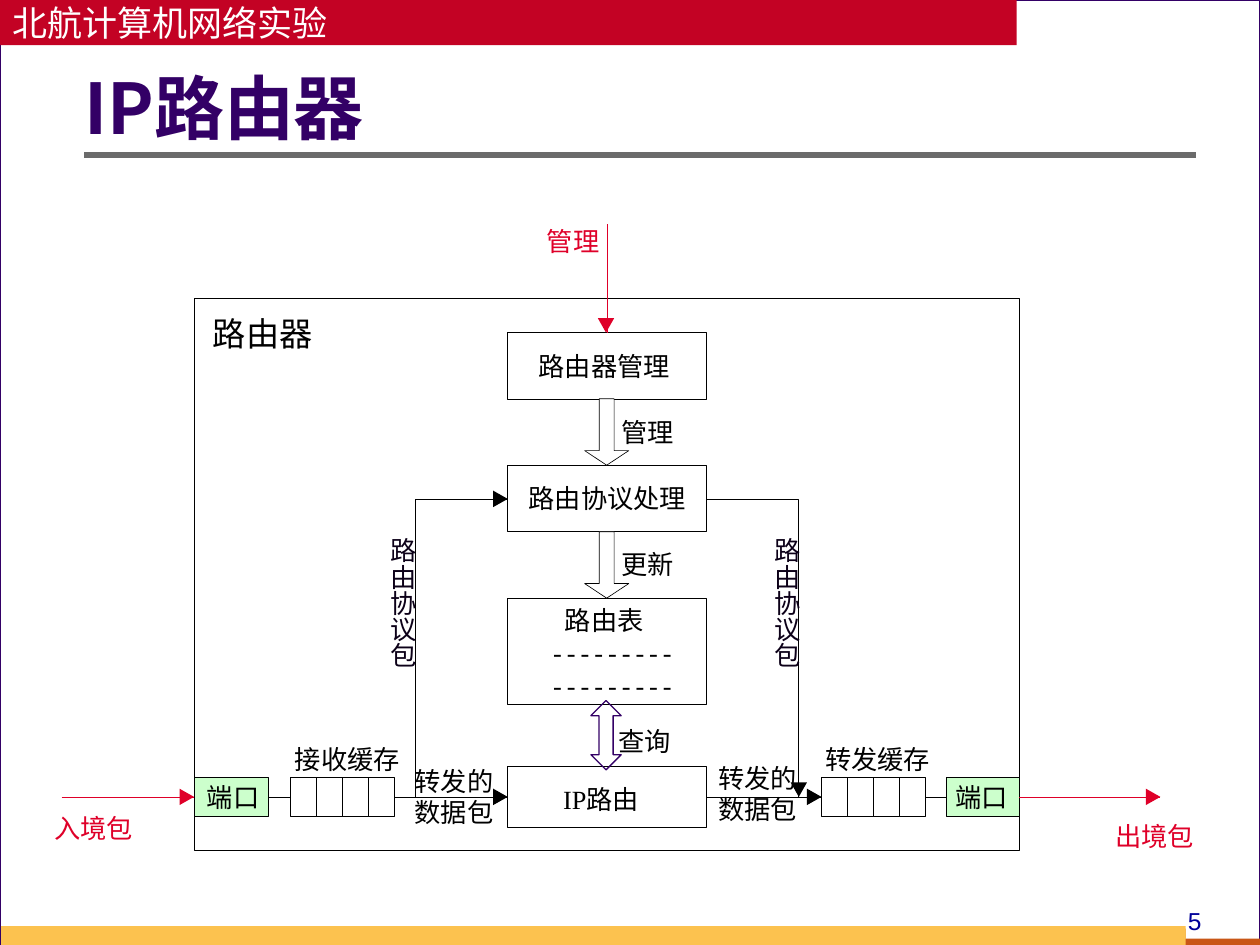
from lxml import etree
from pptx import Presentation
from pptx import util as u
from pptx.dml.color import RGBColor
from pptx.enum import shapes, text
from pptx.oxml import ns

COLUMNS, ROWS = 100, 75
CELL = u.Inches(0.1)
CJK, TIMES, ARIAL = "Noto Sans CJK SC", "Times New Roman", "Arial"

BLACK = RGBColor(0x00, 0x00, 0x00)
WHITE = RGBColor(0xFF, 0xFF, 0xFF)
GREY = RGBColor(0x6B, 0x6B, 0x6B)
BACKDROP = RGBColor(0xD8, 0xDA, 0xDA)
PURPLE = RGBColor(0x33, 0x00, 0x66)
DARK_PURPLE = RGBColor(0x0C, 0x00, 0x18)
NAVY = RGBColor(0x00, 0x00, 0x99)
CRIMSON = RGBColor(0xC3, 0x02, 0x24)
RED = RGBColor(0xDF, 0x00, 0x29)
GREEN = RGBColor(0xCC, 0xFF, 0xCC)
ORANGE = RGBColor(0xE8, 0x80, 0x00)
RUST = RGBColor(0xC9, 0x56, 0x16)
YELLOW = RGBColor(0xFC, 0xC2, 0x4F)

HAIRLINE = 0.38
PACKET_ROW = 63.25
PROTOCOL_ROW = 39.6


def grid(*values):
    return [round(value * CELL) for value in values]


def paint(shape, fill, line, width=HAIRLINE):
    shape.shadow.inherit = False
    if fill is None:
        shape.fill.background()
    else:
        shape.fill.solid()
        shape.fill.fore_color.rgb = fill
    if line is None:
        shape.line.fill.background()
    else:
        shape.line.color.rgb = line
        shape.line.width = u.Pt(width)


def write(shape, lines, size=15, font=CJK, color=BLACK, bold=False, wrap=False,
          insets=(0, 0, 0, 0), anchor=text.MSO_ANCHOR.TOP,
          align=text.PP_ALIGN.LEFT, spacing=None):
    frame = shape.text_frame
    frame.word_wrap = wrap
    frame.vertical_anchor = anchor
    (frame.margin_left, frame.margin_top,
     frame.margin_right, frame.margin_bottom) = grid(*insets)
    for index, line in enumerate(lines):
        paragraph = frame.add_paragraph() if index else frame.paragraphs[0]
        paragraph.alignment = align
        if spacing:
            paragraph.line_spacing = spacing
        run = paragraph.add_run()
        run.text = line
        run.font.size = u.Pt(size)
        run.font.bold = bold
        run.font.color.rgb = color
        run.font.name = font
        east_asian = etree.SubElement(run.font._element, ns.qn("a:ea"))
        east_asian.set("typeface", CJK)


def add_label(slide, box, *lines, **style):
    shape = slide.shapes.add_textbox(*grid(*box))
    write(shape, lines, **style)
    return shape


def add_block(slide, box, fill=WHITE, line=BLACK, width=HAIRLINE,
              kind=shapes.MSO_SHAPE.RECTANGLE, adjustments=()):
    shape = slide.shapes.add_shape(kind, *grid(*box))
    for index, value in enumerate(adjustments):
        shape.adjustments[index] = value
    paint(shape, fill, line, width)
    return shape


def add_named_block(slide, box, name, fill=WHITE, font=CJK,
                    anchor=text.MSO_ANCHOR.MIDDLE, insets=(0, 0, 0.5, 0)):
    shape = add_block(slide, box, fill)
    write(shape, [name], font=font, anchor=anchor, insets=insets,
          align=text.PP_ALIGN.CENTER)
    return shape


def add_line(slide, start, end, color=BLACK, width=HAIRLINE, source=None, target=None):
    line = slide.shapes.add_connector(shapes.MSO_CONNECTOR.STRAIGHT, *grid(*start, *end))
    line.line.color.rgb = color
    line.line.width = u.Pt(width)
    etree.SubElement(line._element.spPr, ns.qn("a:effectLst"))
    if source:
        line.begin_connect(*source)
    if target:
        line.end_connect(*target)


def add_outline(slide, points, fill=None, line=None, close=False):
    start, *others = [grid(*point) for point in points]
    builder = slide.shapes.build_freeform(*start, scale=1.0)
    builder.add_line_segments(others, close=close)
    paint(builder.convert_to_shape(), fill, line)


def add_head(slide, x, y, color=BLACK, down=False):
    length, half = 1.15, 0.65
    if down:
        back = [(x - half, y - length), (x + half, y - length)]
    else:
        back = [(x - length, y - half), (x - length, y + half)]
    add_outline(slide, [(x, y), *back], fill=color, close=True)


def add_queue(slide, left):
    step = 2.06
    return [add_block(slide, (left + step * index, 61.7, step, 3.1)) for index in range(4)]


def add_frame(slide):
    add_block(slide, (0, 0, COLUMNS, ROWS), line=PURPLE, width=0.75)
    banner = add_block(slide, (0, 0, 80.7, 3.6), CRIMSON, None)
    write(banner, ["北航计算机网络实验"], size=20, color=WHITE, wrap=True,
          insets=(1, 0, 1, 0), anchor=text.MSO_ANCHOR.MIDDLE)
    for box, color in [((0.1, 73.7, 94, 0.8), ORANGE),
                       ((0.1, 74.5, COLUMNS, 0.8), RUST),
                       ((0.1, 73.5, 94, 1.8), YELLOW)]:
        add_block(slide, box, color, None)
    add_label(slide, (93.3, 71.4, 6.3, 3.3), "5", size=14, font=ARIAL, color=NAVY,
              wrap=True, insets=(1, 0.5, 1, 0.5))
    add_line(slide, (6.7, 12.3), (94.9, 12.3), GREY, 3)
    add_label(slide, (6.7, 4.6, 88.2, 8.5), "IP路由器", size=40, color=PURPLE,
              bold=True, wrap=True, insets=(0, 0.5, 1, 0.5),
              anchor=text.MSO_ANCHOR.MIDDLE, spacing=0.9)


def add_control_path(slide):
    manager = add_named_block(slide, (40.3, 26.4, 15.8, 5.3), "路由器管理")
    add_named_block(slide, (40.3, 36.9, 15.8, 5.3), "路由协议处理", insets=(0, 0, 0, 0))
    add_named_block(slide, (40.3, 47.5, 15.8, 8.4), "路由表",
                    anchor=text.MSO_ANCHOR.TOP, insets=(0, 0.5, 0.5, 0))
    for top in (50.5, 53.1):
        for index in range(9):
            add_label(slide, (43.9 + 1.09 * index, top, 0.7, 2.5), "-", font=TIMES)
    for top, action in [(31.65, "管理"), (42.2, "更新")]:
        add_block(slide, (46.4, top, 3.5, 5.27), kind=shapes.MSO_SHAPE.DOWN_ARROW,
                  adjustments=(0.34, 0.33))
        add_label(slide, (49.3, top + 1.35, 4.4, 2.5), action)
    add_line(slide, (48.2, 17.8), (48.2, 26.4), RED, target=(manager, 0))
    add_head(slide, 48.1, 26.4, RED, down=True)
    add_label(slide, (43.4, 17.9, 4.4, 2.5), "管理", color=RED)


def add_packet_path(slide):
    in_port = add_named_block(slide, (15.4, 61.7, 5.9, 3.1), "端口", GREEN, insets=(0.3, 0, 0, 0))
    out_port = add_named_block(slide, (75.1, 61.7, 5.8, 3.1), "端口", GREEN, insets=(0, 0, 0.2, 0))
    routing = add_named_block(slide, (40.3, 60.8, 15.8, 4.9), "IP路由", font=TIMES,
                              insets=(0, 0.4, 1, 0))
    received, forwarded = add_queue(slide, 23.05), add_queue(slide, 65.2)
    stages = [(in_port, received[0]), (received[-1], routing),
              (routing, forwarded[0]), (forwarded[-1], out_port)]
    for source, target in stages:
        add_line(slide, (0, 0), (0, 0), source=(source, 3), target=(target, 1))
    add_line(slide, (4.9, PACKET_ROW), (15.4, PACKET_ROW), RED, target=(in_port, 1))
    add_line(slide, (80.9, PACKET_ROW), (92.1, PACKET_ROW), RED, source=(out_port, 3))
    for x, color in [(15.4, RED), (40.3, BLACK), (65.2, BLACK), (92.1, RED)]:
        add_head(slide, x, PACKET_ROW, color)
    add_outline(slide, [(33, PACKET_ROW), (33, PROTOCOL_ROW), (40.3, PROTOCOL_ROW)], line=BLACK)
    add_head(slide, 40.3, PROTOCOL_ROW)
    add_outline(slide, [(56.1, PROTOCOL_ROW), (63.4, PROTOCOL_ROW), (63.4, PACKET_ROW)], line=BLACK)
    add_head(slide, 63.4, PACKET_ROW, down=True)
    add_block(slide, (46.9, 55.6, 2.4, 5.5), None, PURPLE, 0.75,
              shapes.MSO_SHAPE.UP_DOWN_ARROW, (0.5, 0.47))


def add_packet_labels(slide):
    for left, top, width, name, color in [(4.3, 64.5, 6.8, "入境包", RED),
                                          (88.5, 65.1, 6.8, "出境包", RED),
                                          (23.4, 59, 9, "接收缓存", BLACK),
                                          (65.5, 59, 9, "转发缓存", BLACK),
                                          (49.1, 57.6, 4.4, "查询", BLACK)]:
        add_label(slide, (left, top, width, 2.5), name, color=color, wrap=True)
    add_label(slide, (32.9, 60.7, 6.9, 5), "转发的", "数据包", wrap=True)
    add_label(slide, (57, 60.5, 6.4, 5), "转发的数据包", wrap=True)
    for left in (29.2, 59.7):
        label = add_label(slide, (left, 41.7, 4.5, 15.7), "路由协议包", color=DARK_PURPLE,
                          wrap=True, insets=(1, 0.5, 1, 0.5))
        label.text_frame._txBody.bodyPr.set("vert", "eaVert")


def main():
    presentation = Presentation()
    presentation.slide_width, presentation.slide_height = grid(COLUMNS, ROWS)
    slide = presentation.slides.add_slide(presentation.slide_layouts[6])
    slide.background.fill.solid()
    slide.background.fill.fore_color.rgb = BACKDROP
    add_frame(slide)
    add_block(slide, (15.4, 23.7, 65.5, 43.8))
    add_label(slide, (16.9, 24.9, 11.6, 3.2), "路由器", size=19, wrap=True)
    add_control_path(slide)
    add_packet_path(slide)
    add_packet_labels(slide)
    presentation.save("out.pptx")


if __name__ == "__main__":
    main()
